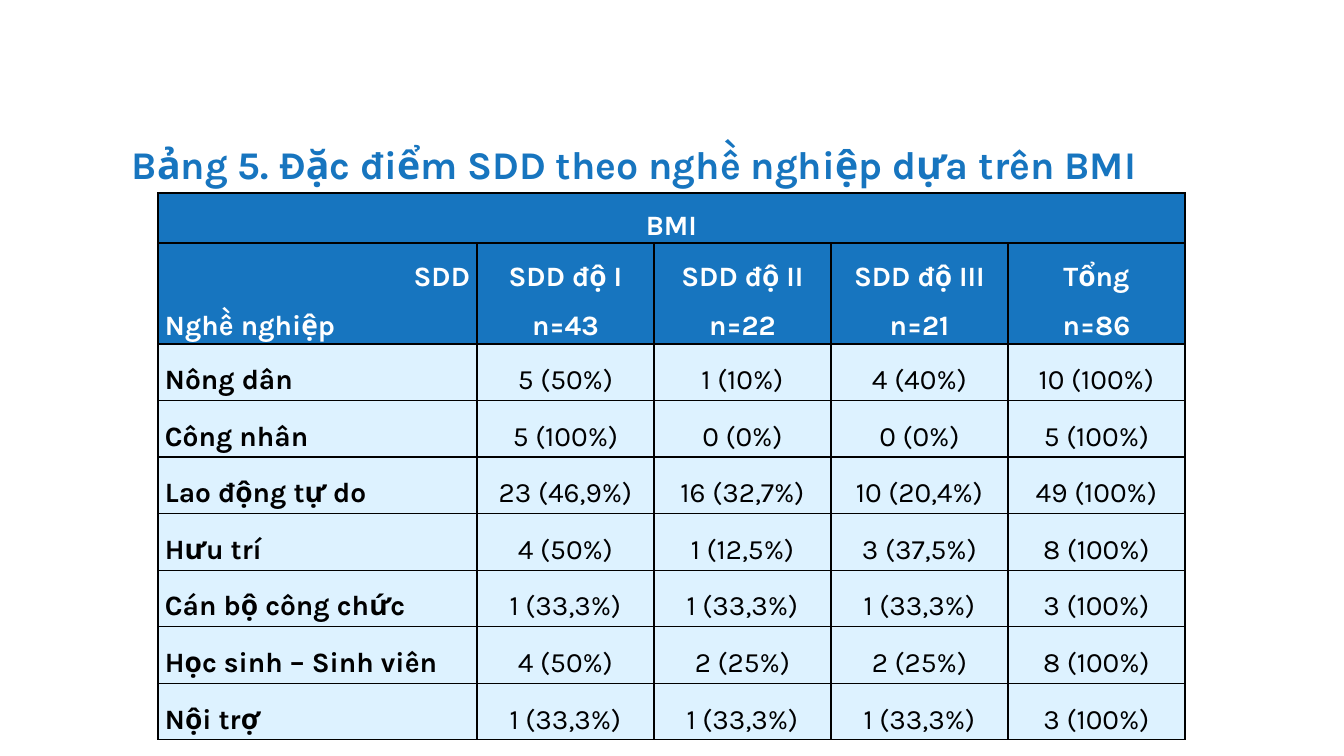
from dataclasses import dataclass

from lxml import etree
from pptx import Presentation
from pptx.dml.color import RGBColor
from pptx.enum.text import MSO_ANCHOR, PP_ALIGN
from pptx.oxml.ns import qn
from pptx.util import Pt

LEFT, CENTER, RIGHT = PP_ALIGN.LEFT, PP_ALIGN.CENTER, PP_ALIGN.RIGHT
MIDDLE = MSO_ANCHOR.MIDDLE
SLIDE_W, SLIDE_H = 1344, 756
EMU_PER_PX = 12192000 / SLIDE_W


@dataclass(frozen=True)
class Theme:
    font: str = "Karla"
    blue: str = "1775BF"
    pale: str = "DDF2FF"
    white: str = "FFFFFF"
    black: str = "000000"
    title_size: int = 28
    cell_size: int = 20
    border_width: int = 1
    line_spacing: float = 1.5


THEME = Theme()

TITLE = "Bảng 5. Đặc điểm SDD theo nghề nghiệp dựa trên BMI"
GROUP_HEADER = "BMI"
HEADERS = [
    "SDD\nNghề nghiệp",
    "SDD độ I\nn=43",
    "SDD độ II n=22",
    "SDD độ III n=21",
    "Tổng\nn=86",
]
JOBS = [
    ("Nông dân", "5 (50%)", "1 (10%)", "4 (40%)", "10 (100%)"),
    ("Công nhân", "5 (100%)", "0 (0%)", "0 (0%)", "5 (100%)"),
    ("Lao động tự do", "23 (46,9%)", "16 (32,7%)", "10 (20,4%)", "49 (100%)"),
    ("Hưu trí", "4 (50%)", "1 (12,5%)", "3 (37,5%)", "8 (100%)"),
    ("Cán bộ công chức", "1 (33,3%)", "1 (33,3%)", "1 (33,3%)", "3 (100%)"),
    ("Học sinh – Sinh viên", "4 (50%)", "2 (25%)", "2 (25%)", "8 (100%)"),
    ("Nội trợ", "1 (33,3%)", "1 (33,3%)", "1 (33,3%)", "3 (100%)"),
]

TABLE_X, TABLE_Y = 158, 193
JOB_W, VALUE_W = 319, 177
GROUP_H, HEADER_H, JOBS_H = 50, 101, 396
CELL_INSET = 7


def px(n):
    return round(n * EMU_PER_PX)


def format_run(r, size, color, bold):
    r.font.name = THEME.font
    r.font.size = Pt(size)
    r.font.bold = bold
    r.font.color.rgb = RGBColor.from_string(color)


def add_title(slide, text, x, y, w, h):
    tf = slide.shapes.add_textbox(px(x), px(y), px(w), px(h)).text_frame
    tf.word_wrap = True
    tf.text = text
    format_run(tf.paragraphs[0].runs[0], THEME.title_size, THEME.blue, True)


def set_borders(cell):
    tcPr = cell._tc.get_or_add_tcPr()
    for i, side in enumerate(("a:lnL", "a:lnR", "a:lnT", "a:lnB")):
        ln = etree.Element(qn(side), w=str(Pt(THEME.border_width)))
        fill = etree.SubElement(ln, qn("a:solidFill"))
        etree.SubElement(fill, qn("a:srgbClr"), val=THEME.black)
        tcPr.insert(i, ln)


def fill_cell(cell, text, fill, color, bold, align):
    cell.fill.solid()
    cell.fill.fore_color.rgb = RGBColor.from_string(fill)
    cell.vertical_anchor = MIDDLE
    cell.margin_left = cell.margin_right = px(CELL_INSET)
    cell.margin_top = cell.margin_bottom = 0
    set_borders(cell)
    tf = cell.text_frame
    tf.text = text
    for p in tf.paragraphs:
        p.alignment = align
        p.line_spacing = THEME.line_spacing
        for r in p.runs:
            format_run(r, THEME.cell_size, color, bold)


def add_job_table(slide):
    col_widths = [px(JOB_W)] + [px(VALUE_W)] * (len(HEADERS) - 1)
    row_heights = [px(GROUP_H), px(HEADER_H)] + [px(JOBS_H) // len(JOBS)] * len(JOBS)
    table = slide.shapes.add_table(
        len(row_heights), len(col_widths), px(TABLE_X), px(TABLE_Y),
        sum(col_widths), sum(row_heights),
    ).table
    for col, width in zip(table.columns, col_widths):
        col.width = width
    for row, height in zip(table.rows, row_heights):
        row.height = height

    group_row = [GROUP_HEADER] + [""] * (len(HEADERS) - 1)
    for i, values in enumerate([group_row, HEADERS, *JOBS]):
        header = i < 2
        fill, color = (THEME.blue, THEME.white) if header else (THEME.pale, THEME.black)
        for j, text in enumerate(values):
            align = LEFT if j == 0 and i > 0 else CENTER
            fill_cell(table.cell(i, j), text, fill, color, header or j == 0, align)
    table.cell(0, 0).merge(table.cell(0, len(HEADERS) - 1))
    table.cell(1, 0).text_frame.paragraphs[0].alignment = RIGHT


def main():
    prs = Presentation()
    prs.slide_width, prs.slide_height = px(SLIDE_W), px(SLIDE_H)
    slide = prs.slides.add_slide(prs.slide_layouts[6])
    add_job_table(slide)
    add_title(slide, TITLE, 122, 135, 1100, 57)
    prs.save("out.pptx")


if __name__ == "__main__":
    main()
